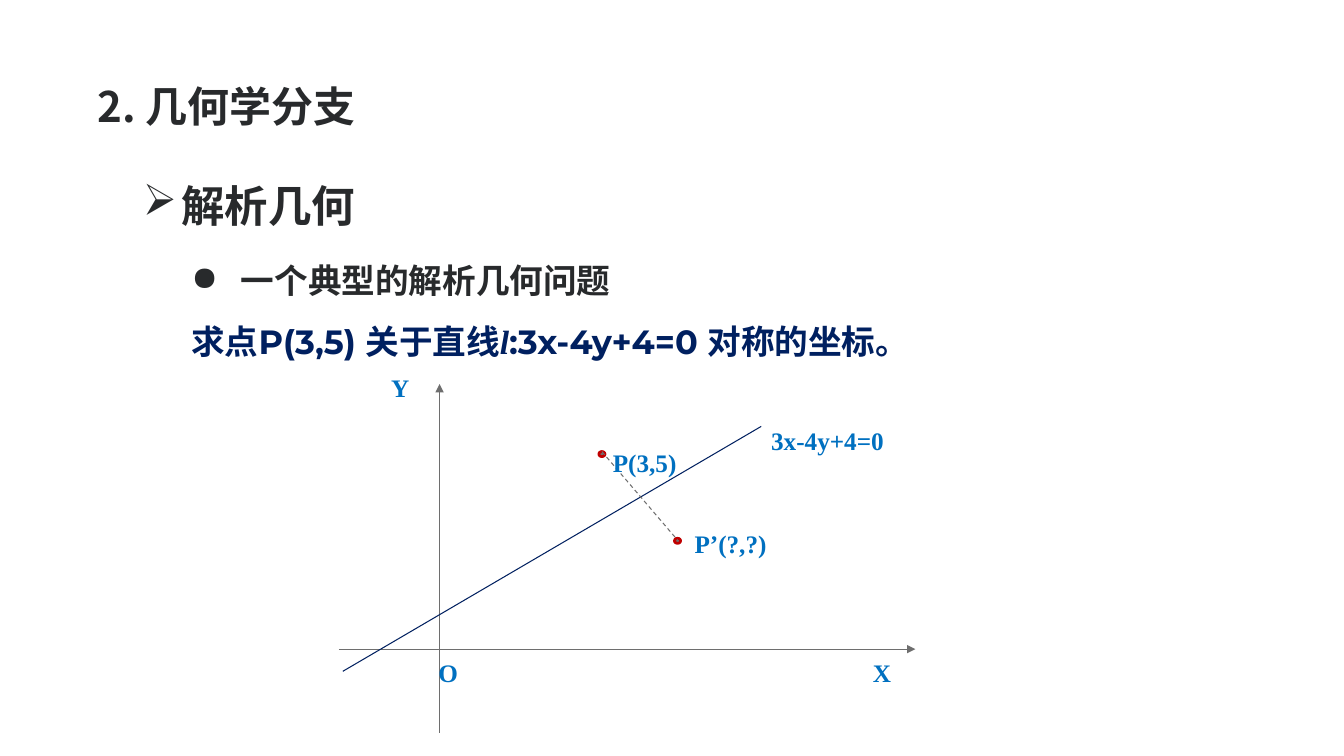
import dataclasses

import lxml.etree
import pptx
import pptx.dml.color
import pptx.enum.dml
import pptx.enum.shapes
import pptx.enum.text
import pptx.oxml.ns
import pptx.util

Inches = pptx.util.Inches
Pt = pptx.util.Pt


@dataclasses.dataclass(frozen=True)
class Theme:
    ink: str = "282A2C"
    navy: str = "002060"
    label_blue: str = "0070C0"
    axis_grey: str = "6E6E6E"
    point_fill: str = "707070"
    point_red: str = "C00000"
    cjk: str = "Noto Sans CJK SC"
    latin: str = "Montserrat"
    serif: str = "Times New Roman"
    title_size: int = 30
    topic_size: int = 31
    body_size: int = 24
    label_size: int = 18


def rgb(code):
    return pptx.dml.color.RGBColor.from_string(code)


def add_child(parent, tag, **attributes):
    child = lxml.etree.SubElement(parent, pptx.oxml.ns.qn(tag))
    for name, value in attributes.items():
        child.set(name, value)
    return child


class Board:
    def __init__(self, slide, theme):
        self.slide = slide
        self.theme = theme

    def text_box(self, left, top, width, height, inset=None):
        box = self.slide.shapes.add_textbox(
            Inches(left), Inches(top), Inches(width), Inches(height))
        frame = box.text_frame
        frame.word_wrap = True
        if inset is not None:
            frame.margin_left = frame.margin_right = Inches(inset)
            frame.margin_top = frame.margin_bottom = Inches(inset)
        return frame

    def run(self, paragraph, text, size, color, font, italic=False):
        run = paragraph.add_run()
        run.text = text
        run.font.size = Pt(size)
        run.font.bold = True
        run.font.italic = italic
        run.font.name = font
        run.font.color.rgb = rgb(color)
        add_child(run.font._element, "a:ea", typeface=self.theme.cjk)

    def space(self, paragraph, line, before, left=0, hanging=0, bullet=None):
        """Set spacing and indents; hanging is how far the bullet stands out."""
        paragraph.line_spacing = line
        paragraph.space_before = Pt(before)
        properties = paragraph._p.get_or_add_pPr()
        properties.set("marL", str(Inches(left)))
        properties.set("indent", str(-Inches(hanging)))
        if bullet:
            add_child(properties, "a:buChar", char=bullet)

    def label(self, text, left, top, width):
        frame = self.text_box(left, top, width, 0.4)
        self.run(frame.paragraphs[0], text, self.theme.label_size,
                 self.theme.label_blue, self.theme.serif)

    def line(self, start, end, color, arrow=False, dashed=False):
        connector = self.slide.shapes.add_connector(
            pptx.enum.shapes.MSO_CONNECTOR.STRAIGHT,
            *(Inches(value) for value in start + end))
        connector.line.color.rgb = rgb(color)
        connector.line.width = Pt(0.75)
        if dashed:
            connector.line.dash_style = pptx.enum.dml.MSO_LINE.DASH
        if arrow:
            add_child(connector.line._get_or_add_ln(), "a:tailEnd", type="triangle")
        add_child(connector._element.spPr, "a:effectLst")

    def point(self, left, top):
        dot = self.slide.shapes.add_shape(
            pptx.enum.shapes.MSO_SHAPE.OVAL,
            Inches(left), Inches(top), Inches(0.06), Inches(0.05))
        dot.shadow.inherit = False
        dot.fill.solid()
        dot.fill.fore_color.rgb = rgb(self.theme.point_fill)
        dot.line.color.rgb = rgb(self.theme.point_red)
        dot.line.width = Pt(2)


def add_heading(board):
    theme = board.theme
    frame = board.text_box(0.92, 0.36, 11.5, 1.45, 0.05)
    frame.vertical_anchor = pptx.enum.text.MSO_ANCHOR.MIDDLE
    heading = frame.paragraphs[0]
    board.space(heading, 0.9, 30)
    board.run(heading, "2. 几何学分支", theme.title_size, theme.ink, theme.cjk)


def add_problem(board):
    theme = board.theme
    frame = board.text_box(0.92, 1.47, 11.5, 4.76, 0.1)
    topic = frame.paragraphs[0]
    board.space(topic, 1.4, 18, 0.78, 0.38, "➢")
    board.run(topic, "解析几何", theme.topic_size, theme.ink, theme.cjk)

    example = frame.add_paragraph()
    board.space(example, 1.3, 12, 1.37, 0.49, "●")
    board.run(example, "一个典型的解析几何问题", theme.body_size, theme.ink, theme.cjk)

    question = frame.add_paragraph()
    board.space(question, 0.9, 18, 0.88)
    for text, font in (("求点P(3,5) 关于直线", theme.latin),
                       ("l", theme.serif),
                       (":3x-4y+4=0 对称的坐标。", theme.latin)):
        board.run(question, text, theme.body_size, theme.navy, font,
                  italic=font == theme.serif)


def add_graph(board):
    theme = board.theme
    board.line((4.36, 7.27), (4.36, 3.81), theme.axis_grey, arrow=True)
    board.line((3.36, 6.44), (9.08, 6.44), theme.axis_grey, arrow=True)
    board.line((3.4, 6.66), (7.55, 4.23), theme.navy)
    for left, top in ((5.94, 4.48), (6.69, 5.34)):
        board.point(left, top)
    board.line((5.97, 4.48), (6.73, 5.37), theme.axis_grey, dashed=True)
    for text, left, top, width in (
            ("P(3,5)", 5.98, 4.39, 1.26),
            ("3x-4y+4=0", 7.55, 4.17, 2.52),
            ("O", 4.25, 6.47, 0.69),
            ("X", 8.56, 6.47, 0.78),
            ("Y", 3.78, 3.64, 0.78),
            ("P’(?,?)", 6.79, 5.19, 1.26)):
        board.label(text, left, top, width)


def main():
    deck = pptx.Presentation()
    deck.slide_width = Inches(13.33)
    deck.slide_height = Inches(7.5)
    board = Board(deck.slides.add_slide(deck.slide_layouts[6]), Theme())
    add_heading(board)
    add_problem(board)
    add_graph(board)
    deck.save("out.pptx")


if __name__ == "__main__":
    main()
